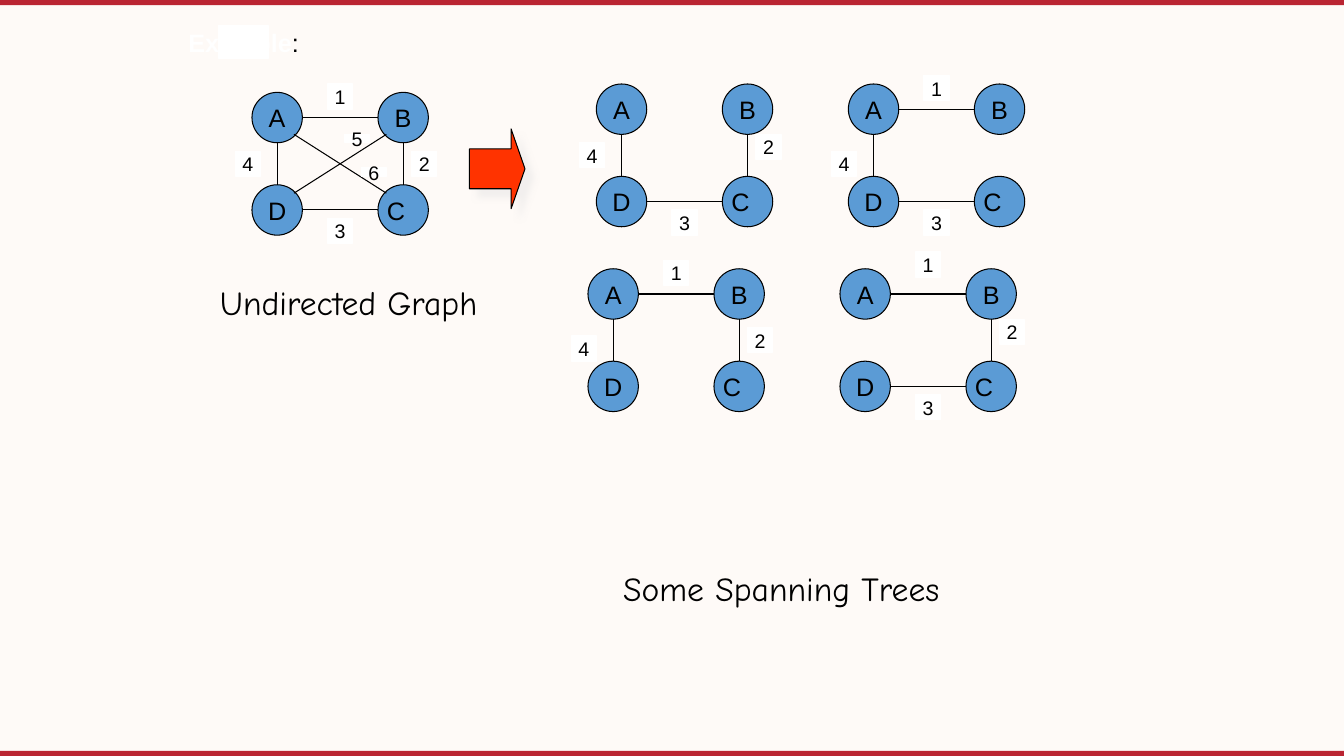
import pptx
import pptx.dml.color
import pptx.enum.shapes
import pptx.enum.text
import pptx.oxml.ns
import pptx.util
from lxml import etree

Cm, Pt = pptx.util.Cm, pptx.util.Pt
SHAPE = pptx.enum.shapes.MSO_SHAPE
COLORS = {"background": "FEFAF7", "bar": "BA2532", "node": "5B9BD5", "arrow": "FF3300",
          "black": "000000", "white": "FFFFFF", "shadow": "E7E6E6"}

# Graph geometry in grid units, measured from the graph's top left corner
NODE = 6
NODES = {"A": (0, 0), "B": (15, 0), "C": (15, 11), "D": (0, 11)}
EDGES = {1: (6, 3, 15, 3), 2: (18, 6, 18, 11), 3: (6, 14, 15, 14),
         4: (3, 6, 3, 11), 5: (5, 12, 16, 5), 6: (5, 5, 16, 12)}
LABEL_LEFT = {1: 9, 2: 19, 3: 9, 4: -2, 5: 11, 6: 13}

# Graph corner, then the label top for each edge weight present
GRAPHS = [
    (30, 11, {1: -1, 2: 7, 3: 15, 4: 7, 5: 5, 6: 9}),
    (71, 10, {2: 6, 3: 15, 4: 7}),
    (101, 10, {1: -1, 3: 15, 4: 8}),
    (70, 32, {1: -1, 2: 7, 4: 8}),
    (100, 32, {1: -2, 2: 6, 3: 15}),
]


def grid(n):
    """Twelve grid units make one inch."""
    return Cm(n * 2.54 / 12)


def rgb(name):
    return pptx.dml.color.RGBColor.from_string(COLORS[name])


def add_shape(s, kind, box, fill, line=None):
    sp = s.shapes.add_shape(kind, *box)
    sp.shadow.inherit = False
    sp.fill.solid()
    sp.fill.fore_color.rgb = rgb(fill)
    if line:
        sp.line.color.rgb = rgb(line)
        sp.line.width = Pt(0.75)
    else:
        sp.line.fill.background()
    return sp


def center_text(sp, text, size, right=0):
    tf = sp.text_frame
    tf.word_wrap = False
    tf.auto_size = pptx.enum.text.MSO_AUTO_SIZE.NONE
    tf.vertical_anchor = pptx.enum.text.MSO_ANCHOR.MIDDLE
    tf.margin_left = tf.margin_top = tf.margin_bottom = 0
    tf.margin_right = right
    p = tf.paragraphs[0]
    p.text = text
    p.alignment = pptx.enum.text.PP_ALIGN.CENTER
    p.font.name, p.font.size = "Arial", Pt(size)
    p.font.color.rgb = rgb("black")
    return p


def add_title(s, left, top, width, height):
    sp = s.shapes.title
    sp.left, sp.top, sp.width, sp.height = left, top, width, height
    p = center_text(sp, "Example", 18)
    p.runs[0].font.bold = True
    p.runs[0].font.color.rgb = rgb("white")
    p.add_run().text = ":"
    # White patch behind the middle of the title
    patch_width = grid(6)
    box = left + (width - patch_width) // 2, top, patch_width, height
    patch = add_shape(s, SHAPE.RECTANGLE, box, "white", "white")
    sp.element.addprevious(patch.element)


def add_caption(s, text, left, top, width, height):
    tf = s.shapes.add_textbox(left, top, width, height).text_frame
    tf.word_wrap = True
    p = tf.paragraphs[0]
    p.text = text
    p.font.name, p.font.size = "Comic Neue", Pt(24)
    p.font.color.rgb = rgb("black")


def add_arrow(s, *box):
    sp = add_shape(s, SHAPE.RIGHT_ARROW, box, "arrow", "black")
    sp.adjustments[0], sp.adjustments[1] = 0.5, 0.25
    qn = pptx.oxml.ns.qn
    effects = sp.element.spPr.find(qn("a:effectLst"))
    shadow = etree.SubElement(effects, qn("a:outerShdw"), blurRad=str(Pt(5)),
                              dist=str(Pt(8.5)), dir="2700000", algn="ctr", rotWithShape="0")
    color = etree.SubElement(shadow, qn("a:srgbClr"), val=COLORS["shadow"])
    etree.SubElement(color, qn("a:alpha"), val="50000")


def add_graph(s, left, top, label_tops):
    # Nodes
    for name, (x, y) in NODES.items():
        box = grid(left + x), grid(top + y), grid(NODE), grid(NODE)
        sp = add_shape(s, SHAPE.OVAL, box, "node", "black")
        center_text(sp, name, 18, right=Cm(0.36) if name == "C" else 0)
    # Edges
    for weight in label_tops:
        x1, y1, x2, y2 = EDGES[weight]
        edge = s.shapes.add_connector(pptx.enum.shapes.MSO_CONNECTOR.STRAIGHT,
                                      grid(left + x1), grid(top + y1),
                                      grid(left + x2), grid(top + y2))
        edge.line.color.rgb = rgb("black")
        edge.line.width = Pt(0.75)
        etree.SubElement(edge.element.spPr, pptx.oxml.ns.qn("a:effectLst"))
    # Weights; the two diagonals have flat labels
    for weight, y in label_tops.items():
        height = 1 if weight > 4 else 3
        box = grid(left + LABEL_LEFT[weight]), grid(top + y), grid(3), grid(height)
        center_text(add_shape(s, SHAPE.RECTANGLE, box, "white", "white"), str(weight), 14)


def main():
    prs = pptx.Presentation()
    prs.slide_width, prs.slide_height = grid(160), grid(90)
    s = prs.slides.add_slide(prs.slide_layouts[5])
    s.background.fill.solid()
    s.background.fill.fore_color.rgb = rgb("background")

    # Bars along the top and bottom edges
    bar = Cm(0.13)
    for top in (0, prs.slide_height - bar):
        add_shape(s, SHAPE.RECTANGLE, (0, top, prs.slide_width, bar), "bar")

    # Title, captions and arrow
    add_title(s, grid(21), grid(3), grid(16), grid(4))
    add_caption(s, "Undirected Graph", grid(25), grid(33), Cm(8), grid(6))
    add_caption(s, "Some Spanning Trees", grid(73), grid(67), Cm(9.86), grid(6))
    add_arrow(s, Cm(11.83), Cm(3.25), Cm(1.4), Cm(2.01))

    # Graph and its spanning trees
    for left, top, label_tops in GRAPHS:
        add_graph(s, left, top, label_tops)

    prs.save("out.pptx")


if __name__ == "__main__":
    main()
